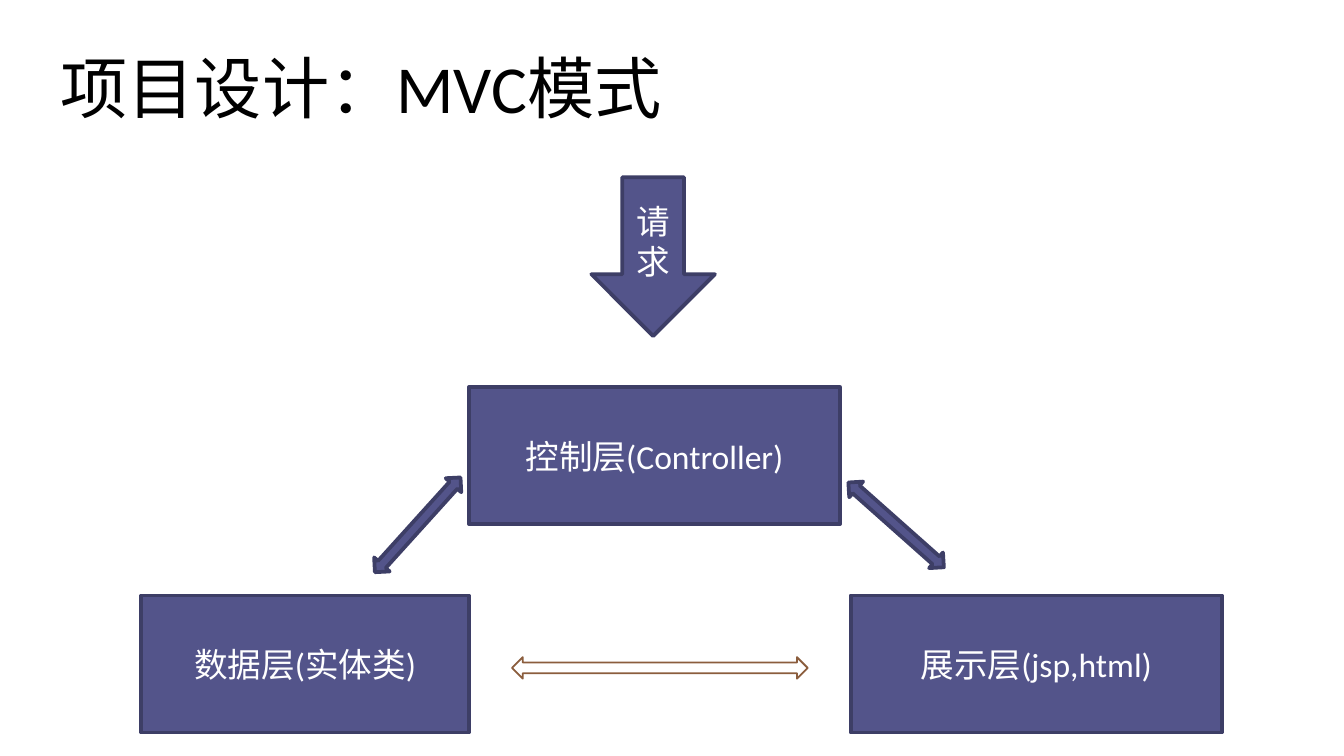
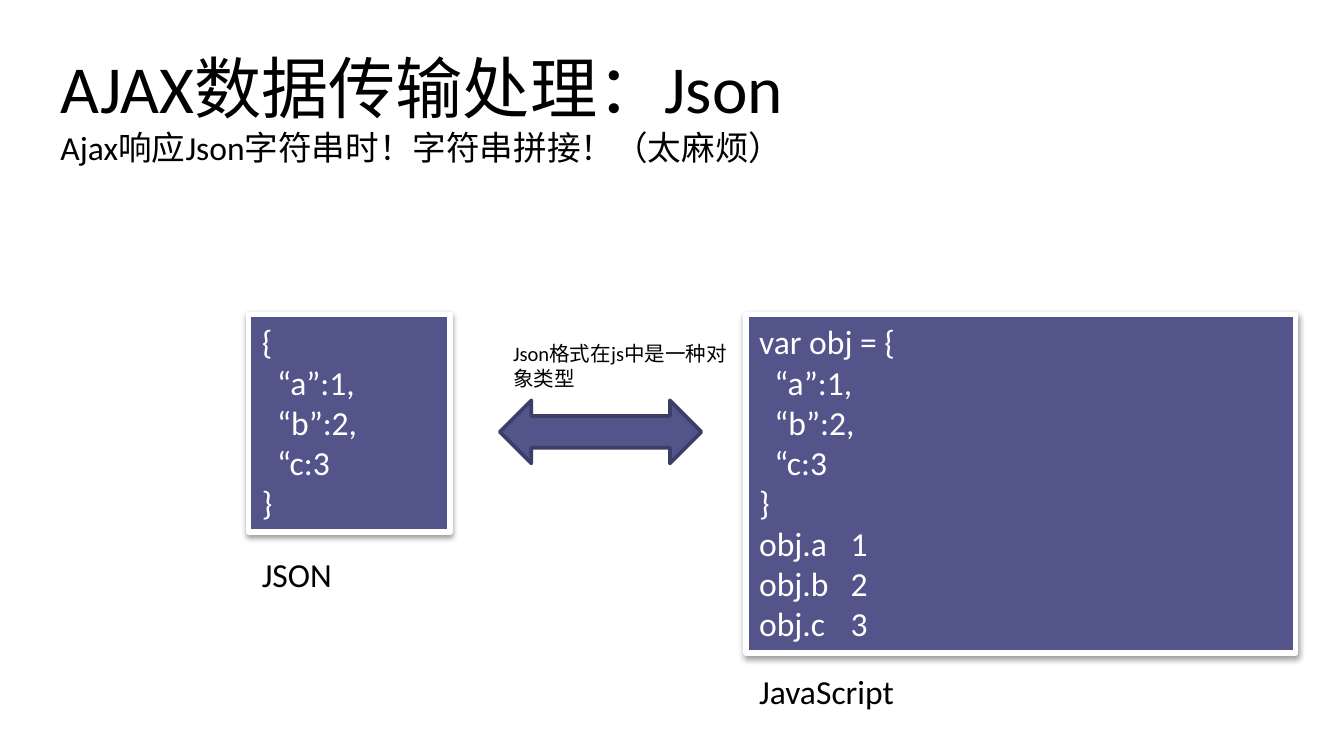
"""Build two slides: an MVC diagram and a comparison of JSON with JavaScript objects."""
from typing import NamedTuple

import lxml.etree
import pptx
import pptx.dml.color
import pptx.enum.shapes
import pptx.enum.text
import pptx.oxml
import pptx.oxml.ns
import pptx.util

Pt = pptx.util.Pt
RGBColor = pptx.dml.color.RGBColor
Shape = pptx.enum.shapes.MSO_SHAPE
Align = pptx.enum.text.PP_ALIGN
Anchor = pptx.enum.text.MSO_ANCHOR
AutoSize = pptx.enum.text.MSO_AUTO_SIZE

INDIGO = RGBColor(0x53, 0x54, 0x8A)
DARK_INDIGO = RGBColor(0x3D, 0x3E, 0x66)
BROWN = RGBColor(0x8B, 0x5D, 0x3D)
BLACK = RGBColor(0x00, 0x00, 0x00)
WHITE = RGBColor(0xFF, 0xFF, 0xFF)

FONT = "Calibri"
TITLE_SIZE = 36
TEXT_SIZE = 18
NOTE_SIZE = 11
CODE_INDENT = 8.2
CODE_TAB = 49
TITLE_LEFT, TITLE_TOP = 25.2, 21

OBJECT_LINES = ["{", "\t“a”:1,", "\t“b”:2,", "\t“c:3", "}"]
SCRIPT_LINES = ["var obj = {", *OBJECT_LINES[1:], "obj.a\t1", "obj.b\t2", "obj.c\t3"]


class Box(NamedTuple):
    """A rectangle in points."""

    left: float
    top: float
    width: float
    height: float

    def inner(self, left, top, width, height):
        """Return a box placed relative to this one."""
        return Box(self.left + left, self.top + top, width, height)

    def lengths(self):
        """Return the four sides as lengths."""
        return [Pt(side) for side in self]


def format_runs(paragraph, size, color):
    """Give every run of a paragraph the deck font."""
    for span in paragraph.runs:
        span.font.name = FONT
        span.font.size = Pt(size)
        span.font.color.rgb = color


def write_text(shape, text, color, align, anchor, size=TEXT_SIZE):
    """Fill a shape with wrapped, formatted text."""
    frame = shape.text_frame
    frame.text = text
    frame.word_wrap = True
    frame.vertical_anchor = anchor
    for paragraph in frame.paragraphs:
        paragraph.alignment = align
        format_runs(paragraph, size, color)


def add_title(page, width, height, title, subtitle=None):
    """Place the title, with an optional smaller second line."""
    shape = page.shapes.title
    shape.left, shape.top, shape.width, shape.height = Box(
        TITLE_LEFT, TITLE_TOP, width, height).lengths()
    write_text(shape, title, BLACK, Align.LEFT, Anchor.TOP, TITLE_SIZE)
    if subtitle:
        paragraph = shape.text_frame.add_paragraph()
        paragraph.text = subtitle
        paragraph.alignment = Align.LEFT
        format_runs(paragraph, TEXT_SIZE, BLACK)
    shape.text_frame.auto_size = AutoSize.SHAPE_TO_FIT_TEXT


def add_label(page, box, text, size=TEXT_SIZE):
    """Place a plain black text box."""
    label = page.shapes.add_textbox(*box.lengths())
    write_text(label, text, BLACK, Align.LEFT, Anchor.TOP, size)
    label.text_frame.auto_size = AutoSize.SHAPE_TO_FIT_TEXT


def add_block(page, kind, box, text="", fill=INDIGO, line=DARK_INDIGO, weight=2, turn=0):
    """Place a preset shape with centred white text."""
    block = page.shapes.add_shape(kind, *box.lengths())
    block.shadow.inherit = False
    block.rotation = turn
    if fill is None:
        block.fill.background()
    else:
        block.fill.solid()
        block.fill.fore_color.rgb = fill
    block.line.color.rgb = line
    block.line.width = Pt(weight)
    if text:
        write_text(block, text, WHITE, Align.CENTER, Anchor.MIDDLE)
    return block


def add_drop_shadow(shape):
    """Cast a soft shadow straight down."""
    qn = pptx.oxml.ns.qn
    effects = shape._element.spPr.find(qn("a:effectLst"))
    shadow = lxml.etree.SubElement(
        effects, qn("a:outerShdw"), blurRad=str(Pt(3.1)), dist=str(Pt(1.6)),
        dir="5400000", rotWithShape="0")
    color = lxml.etree.SubElement(shadow, qn("a:srgbClr"), val=str(BLACK))
    lxml.etree.SubElement(color, qn("a:alpha"), val="38000")


def add_code(page, box, lines, caption, caption_gap):
    """Place a code panel and the caption below it."""
    qn = pptx.oxml.ns.qn
    panel = add_block(page, Shape.RECTANGLE, box, line=WHITE, weight=3)
    add_drop_shadow(panel)
    text = "\n".join(line.lstrip("\t") for line in lines)
    write_text(panel, text, WHITE, Align.LEFT, Anchor.TOP)
    panel.text_frame.auto_size = AutoSize.SHAPE_TO_FIT_TEXT
    for line, paragraph in zip(lines, panel.text_frame.paragraphs):
        properties = paragraph._p.get_or_add_pPr()
        if line.startswith("\t"):
            properties.set("marL", str(Pt(CODE_INDENT)))
        elif "\t" in line:
            stops = lxml.etree.SubElement(properties, qn("a:tabLst"))
            lxml.etree.SubElement(stops, qn("a:tab"), pos=str(Pt(CODE_TAB)), algn="l")
    add_label(page, box.inner(0, box.height + caption_gap, 108, 29), caption)


def add_layers(page, box):
    """Place the request, the three layers and the arrows between them."""
    layer_height = 73.4
    lower = box.height - layer_height
    middle = lower - 111.6
    data_width, wide = 175.7, 198.7
    layers = [
        ("控制层(Controller)", data_width, middle, wide),
        ("数据层(实体类)", 0, lower, data_width),
        ("展示层(jsp,html)", box.width - wide, lower, wide),
    ]
    for name, left, top, width in layers:
        add_block(page, Shape.RECTANGLE, box.inner(left, top, width, layer_height), name)
    for left, turn in ((398.9, 311.6), (142.6, 42.1)):
        add_block(page, Shape.UP_DOWN_ARROW,
                  box.inner(left, middle + 39.6, 11.2, 68.4), turn=turn)
    add_block(page, Shape.DOWN_ARROW, box.inner(241.2, 0, 66.2, 85), "请求")
    add_block(page, Shape.LEFT_RIGHT_ARROW, box.inner(198.7, lower + 33.1, 158.4, 11.5),
              fill=None, line=BROWN, weight=1)


def add_comparison(page, box):
    """Place the two code panels with the noted arrow between them."""
    script_width = 294.5
    add_code(page, box.inner(0, 0, 108, 116.6), OBJECT_LINES, "JSON", 8)
    add_code(page, box.inner(box.width - script_width, 0, script_width, box.height),
             SCRIPT_LINES, "JavaScript", 5.8)
    add_block(page, Shape.LEFT_RIGHT_ARROW, box.inner(134.6, 46, 108, 33.8))
    add_label(page, box.inner(134.6, 10.8, 139.7, 33.8),
              "Json格式在js中是一种对象类型", NOTE_SIZE)


def main():
    """Build and save the deck."""
    deck = pptx.Presentation()
    deck.slide_width, deck.slide_height = Pt(720), Pt(405)
    title_only = deck.slide_layouts[5]

    page = deck.slides.add_slide(title_only)
    add_title(page, 385, 51, "项目设计：MVC模式")
    add_layers(page, Box(75.6, 95, 578.9, 297.4))

    page = deck.slides.add_slide(title_only)
    add_title(page, 453.6, 118.8, "AJAX数据传输处理：Json",
              "Ajax响应Json字符串时！字符串拼接！（太麻烦）")
    add_comparison(page, Box(133.2, 168.5, 560.9, 181.4))

    deck.save("out.pptx")


if __name__ == "__main__":
    main()
